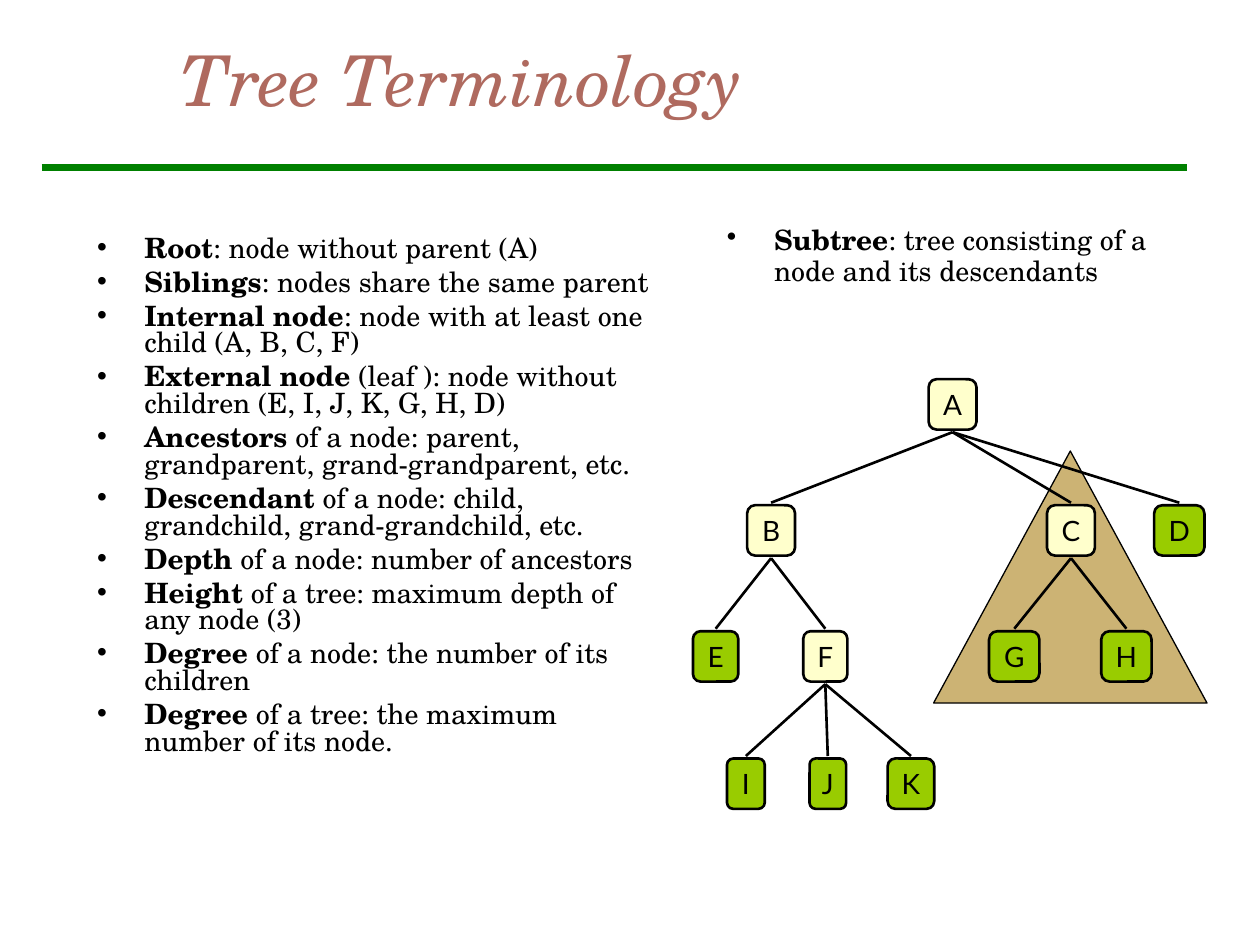
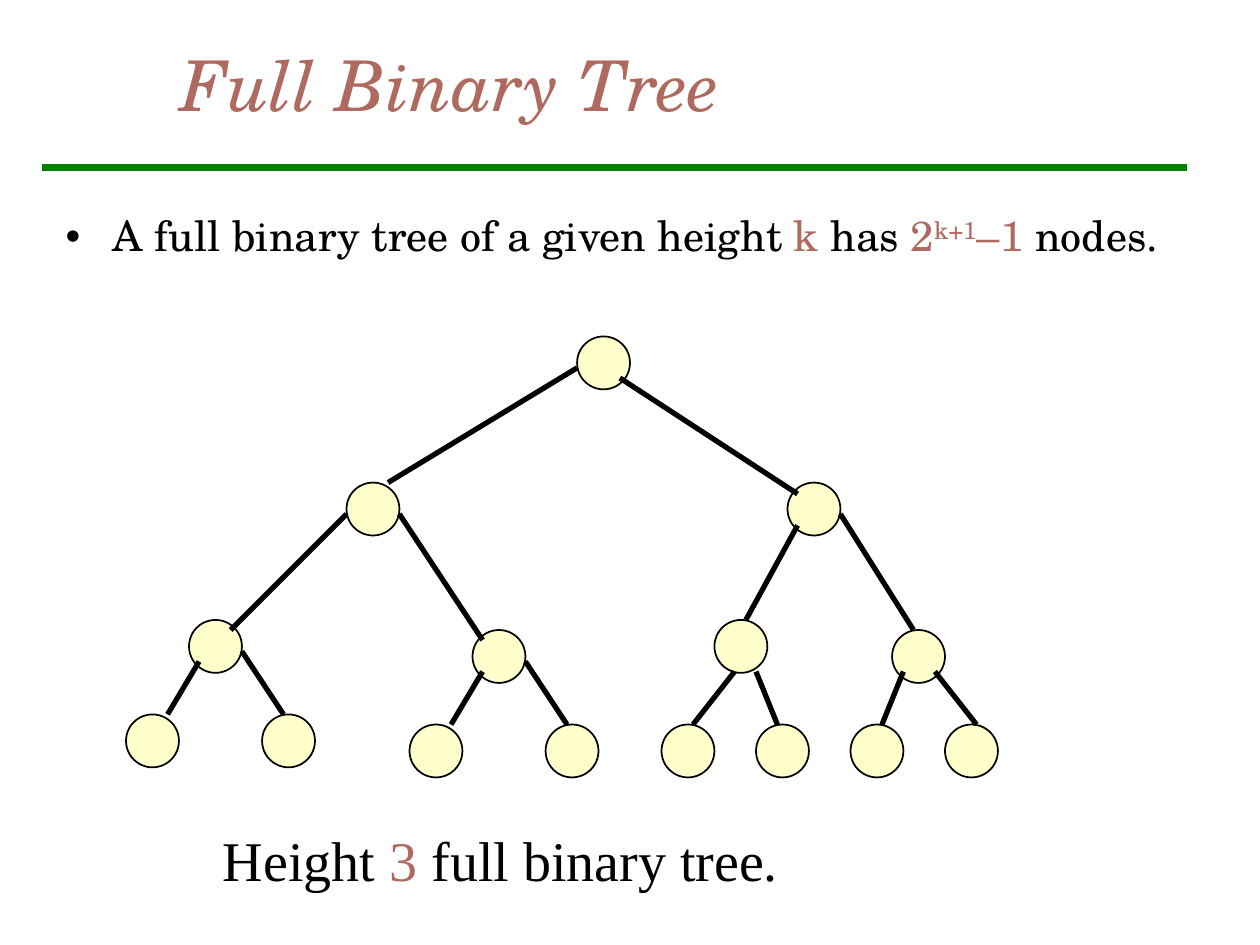
from lxml import etree
from pptx import Presentation
from pptx.dml.color import RGBColor
from pptx.enum import shapes, text
from pptx.oxml.ns import qn
from pptx.util import Inches, Pt

COLOURS = {
    "ink": "000000",
    "accent": "AF6A5F",
    "rule": "008000",
    "inner": "FFFFCC",
    "leaf": "99CC00",
    "subtree": "CCB374",
}
RGB = {name: RGBColor.from_string(value) for name, value in COLOURS.items()}
SERIF = "TeX Gyre Schola"
BULLET_INDENT = Inches(3 / 8)


def add_line(slide, start, end, width, colour="ink"):
    """Draw a straight line between two points in inches."""
    line = slide.shapes.add_connector(
        shapes.MSO_CONNECTOR.STRAIGHT, *[Inches(value) for value in (*start, *end)])
    line.line.color.rgb = RGB[colour]
    line.line.width = Pt(width)
    etree.SubElement(line.element.spPr, qn("a:effectLst"))
    return line


def add_figure(slide, kind, box, fill, line_width):
    """Draw a filled, outlined preset shape in a box given in inches."""
    figure = slide.shapes.add_shape(kind, *[Inches(value) for value in box])
    figure.shadow.inherit = False
    figure.fill.solid()
    figure.fill.fore_color.rgb = RGB[fill]
    figure.line.color.rgb = RGB["ink"]
    figure.line.width = Pt(line_width)
    return figure


presentation = Presentation()
presentation.slide_width, presentation.slide_height = Inches(10), Inches(7.5)
layout = presentation.slide_layouts[1]

# Titles and body frames: title, title box, body box
pages = [
    ("Tree Terminology", (1.33, 0, 8.5, 1.25), (0.67, 1.83, 4.6, 5.17)),
    ("Full Binary Tree", (1.33, 0.25, 8.5, 0.83), (0.42, 1.66, 9.08, 1.08)),
]
for title, title_box, body_box in pages:
    slide = presentation.slides.add_slide(layout)
    for placeholder, box in zip(slide.placeholders, (title_box, body_box)):
        placeholder.left, placeholder.top, placeholder.width, placeholder.height = [
            Inches(value) for value in box]
        placeholder.text_frame.auto_size = text.MSO_AUTO_SIZE.NONE
    slide.shapes.title.text_frame.text = title
    paragraph = slide.shapes.title.text_frame.paragraphs[0]
    paragraph.alignment = text.PP_ALIGN.LEFT
    paragraph.font.name = SERIF
    paragraph.font.size = Pt(40)
    paragraph.font.italic = True
    paragraph.font.color.rgb = RGB["accent"]

terms_slide, full_slide = presentation.slides

# The green rule belongs to the shared layout
rule = add_line(terms_slide, (0.33, 1.33), (9.42, 1.33), 4, "rule")
layout.shapes.element.append(rule.element)

# Slide 1: definitions
terms = [
    ("Root", ": node without parent (A)"),
    ("Siblings", ": nodes share the same parent"),
    ("Internal node", ": node with at least one child (A, B, C, F)"),
    ("External node", " (leaf ): node without children (E, I, J, K, G, H, D)"),
    ("Ancestors", " of a node: parent, grandparent, grand-grandparent, etc."),
    ("Descendant", " of a node: child, grandchild, grand-grandchild, etc."),
    ("Depth", " of a node: number of ancestors"),
    ("Height", " of a tree: maximum depth of any node (3)"),
    ("Degree", " of a node: the number of its children"),
    ("Degree", " of a tree: the maximum number of its node."),
]
subtree_term = ("Subtree", ": tree consisting of a node and its descendants")

subtree_box = terms_slide.shapes.add_textbox(
    Inches(5.67), Inches(1.75), Inches(3.83), Inches(1.08))
subtree_box.text_frame.word_wrap = True

bullets = []  # paragraph, size, line spacing, space before
for frame, entries, spacing in [
    (terms_slide.placeholders[1].text_frame, terms, 0.8),
    (subtree_box.text_frame, [subtree_term], 0.9),
]:
    for index, (term, meaning) in enumerate(entries):
        paragraph = frame.add_paragraph() if index else frame.paragraphs[0]
        run = paragraph.add_run()
        run.text = term
        run.font.bold = True
        paragraph.add_run().text = meaning
        bullets.append((paragraph, 16, spacing, 4))

# Slide 1: tree with the subtree of C marked
add_figure(terms_slide, shapes.MSO_SHAPE.ISOSCELES_TRIANGLE,
           (7.41, 3.58, 2.17, 2), "subtree", 0.74)

NODE_HEIGHT, LINE_GAP = 0.4, 0.02
ROW_TOPS = [3.01, 4.01, 5.01, 6.02]
nodes = {  # centre, row, width
    "A": (7.56, 0, 0.38),
    "B": (6.12, 1, 0.38), "C": (8.5, 1, 0.38), "D": (9.36, 1, 0.4),
    "E": (5.68, 2, 0.36), "F": (6.55, 2, 0.35),
    "G": (8.05, 2, 0.4), "H": (8.94, 2, 0.4),
    "I": (5.92, 3, 0.3), "J": (6.57, 3, 0.29), "K": (7.23, 3, 0.37),
}
children = {"A": "BCD", "B": "EF", "C": "GH", "F": "IJK"}

for name, (centre, row, width) in nodes.items():
    node = add_figure(terms_slide, shapes.MSO_SHAPE.ROUNDED_RECTANGLE,
                      (centre - width / 2, ROW_TOPS[row], width, NODE_HEIGHT),
                      "inner" if name in children else "leaf", 1.5)
    frame = node.text_frame
    frame.word_wrap = False
    frame.margin_left = frame.margin_right = frame.margin_top = frame.margin_bottom = 0
    frame.vertical_anchor = text.MSO_ANCHOR.MIDDLE
    frame.text = name
    paragraph = frame.paragraphs[0]
    paragraph.alignment = text.PP_ALIGN.CENTER
    paragraph.font.name = "Lato"
    paragraph.font.size = Pt(16)
    paragraph.font.color.rgb = RGB["ink"]

for parent, names in children.items():
    parent_x, parent_row, _ = nodes[parent]
    for name in names:
        child_x, child_row, _ = nodes[name]
        add_line(terms_slide,
                 (parent_x, ROW_TOPS[parent_row] + NODE_HEIGHT + LINE_GAP),
                 (child_x, ROW_TOPS[child_row] - LINE_GAP), 1.5)

# Slide 2: statement and caption
caption = full_slide.shapes.add_textbox(
    Inches(1.67), Inches(6.5), Inches(7.17), Inches(0.64))
caption.text_frame.word_wrap = True
statement = full_slide.placeholders[1].text_frame.paragraphs[0]
caption_line = caption.text_frame.paragraphs[0]
coloured_texts = [
    (statement, [("A full binary tree of a given height ", "ink"), ("k", "accent"),
                 (" has ", "ink"), ("2", "accent"), ("k+1", "accent"),
                 ("–1 ", "accent"), ("nodes.", "ink")]),
    (caption_line, [("Height ", "ink"), ("3", "accent"), (" full binary tree.", "ink")]),
]
for paragraph, parts in coloured_texts:
    for words, colour in parts:
        run = paragraph.add_run()
        run.text = words
        run.font.color.rgb = RGB[colour]
exponent = statement.runs[4]
exponent.font._element.set("baseline", "30000")
bullets.append((statement, 24, 0.9, 6))
caption_line.space_before = Pt(20)
caption_line.font.name = "Times New Roman"
caption_line.font.size = Pt(32)

# Slide 2: full binary tree of height 3
DIAMETER = 0.42
circles = [
    (4.58, 2.67),
    (2.75, 3.83), (6.25, 3.83),
    (1.5, 4.92), (3.75, 5), (5.67, 4.92), (7.08, 5),
    (1, 5.67), (2.08, 5.67), (3.25, 5.75), (4.33, 5.75),
    (5.25, 5.75), (6, 5.75), (6.75, 5.75), (7.5, 5.75),
]
branches = [
    ((4.58, 2.92), (3.08, 3.83)), ((4.92, 3), (6.33, 3.92)),
    ((2.75, 4.08), (1.83, 5)), ((3.17, 4.08), (3.83, 5.08)),
    ((6.33, 4.17), (5.92, 4.92)), ((6.67, 4.08), (7.25, 5)),
    ((1.58, 5.25), (1.33, 5.67)), ((1.92, 5.17), (2.25, 5.67)),
    ((3.83, 5.33), (3.58, 5.75)), ((4.17, 5.25), (4.5, 5.75)),
    ((5.83, 5.33), (5.5, 5.75)), ((6, 5.33), (6.17, 5.75)),
    ((7.17, 5.33), (7, 5.75)), ((7.42, 5.33), (7.75, 5.75)),
]
for left, top in circles:
    add_figure(full_slide, shapes.MSO_SHAPE.OVAL,
               (left, top, DIAMETER, DIAMETER), "inner", 1)
for start, end in branches:
    add_line(full_slide, start, end, 3)

# Shared bullet style
for paragraph, size, spacing, before in bullets:
    properties = paragraph._p.get_or_add_pPr()
    properties.set("marL", str(BULLET_INDENT))
    properties.set("indent", str(-BULLET_INDENT))
    etree.SubElement(properties, qn("a:buChar")).set("char", "•")
    paragraph.line_spacing = spacing
    paragraph.space_before = Pt(before)
    paragraph.font.name = SERIF
    paragraph.font.size = Pt(size)
    paragraph.font.color.rgb = RGB["ink"]

presentation.save("out.pptx")
